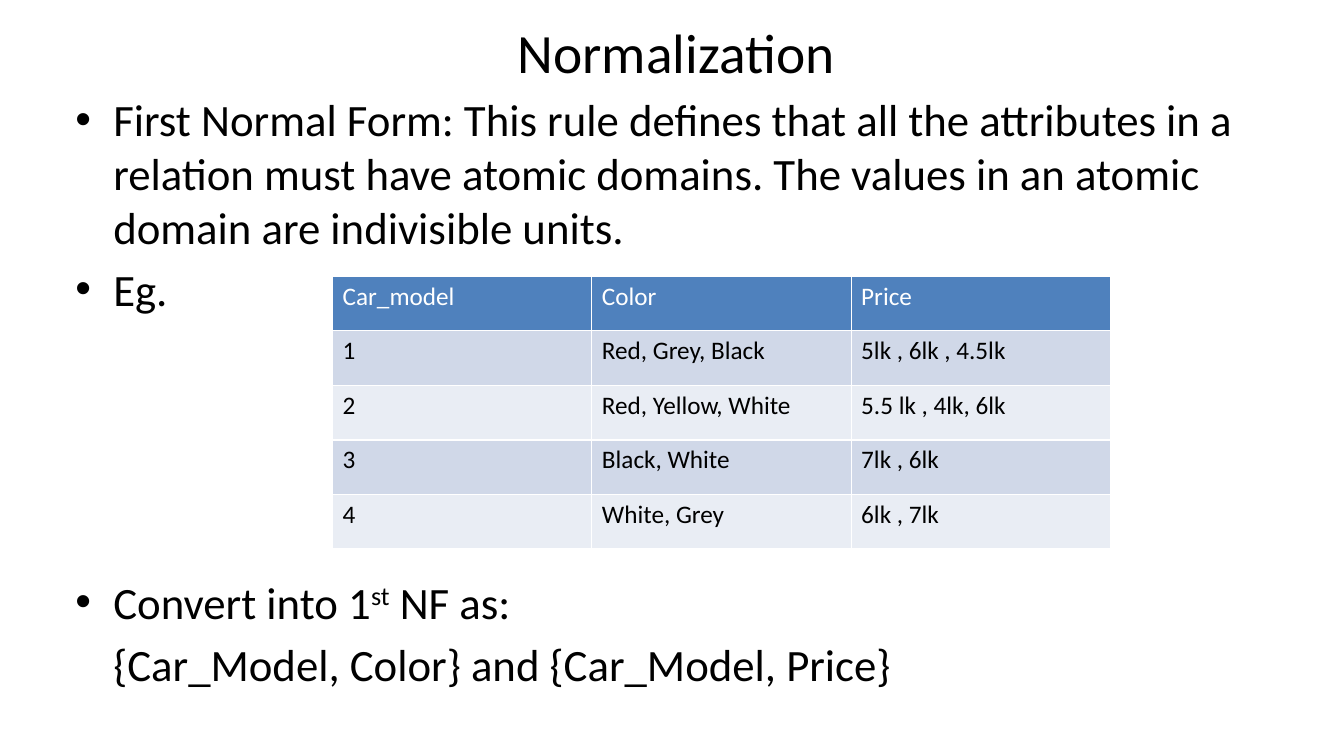
from dataclasses import dataclass

import pptx
import pptx.dml.color
import pptx.enum.text
import pptx.oxml
import pptx.oxml.ns
import pptx.util

Pt = pptx.util.Pt
FONT = "Calibri"
BLACK, WHITE = "000000", "FFFFFF"
HEADER_FILL = "4F81BD"
BAND_FILLS = ("D0D8E8", "E9EDF4")
NS = pptx.oxml.ns.nsdecls("a")
HANG = 27


@dataclass
class Box:
    left: float
    top: float
    width: float
    height: float

    def lengths(self) -> tuple:
        return Pt(self.left), Pt(self.top), Pt(self.width), Pt(self.height)


@dataclass
class Item:
    """One body paragraph; every second text is superscript."""
    texts: tuple[str, ...]
    before: float = 6
    bullet: bool = True


TITLE_BOX = Box(159, 11.5, 648, 50.4)
BODY_BOX = Box(46.8, 62, 862, 458)
TABLE_BOX = Box(237.6, 197.3, 555.6, 195)

ITEMS = [
    Item(("First Normal Form: This rule defines that all the attributes in a "
          "relation must have atomic domains. The values in an atomic domain "
          "are indivisible units.",), before=0),
    Item(("Eg.",)),
    Item(("Convert into 1", "st", " NF as:"), before=185),
    Item(("{Car_Model, Color} and {Car_Model, Price}",), bullet=False),
]

CARS = [
    ("Car_model", "Color", "Price"),
    ("1", "Red, Grey, Black", "5lk , 6lk , 4.5lk"),
    ("2", "Red, Yellow, White", "5.5 lk , 4lk, 6lk"),
    ("3", "Black, White", "7lk , 6lk"),
    ("4", "White, Grey", "6lk , 7lk"),
]


def rgb(value: str) -> pptx.dml.color.RGBColor:
    return pptx.dml.color.RGBColor.from_string(value)


def style(font, size: float, color: str = BLACK) -> None:
    font.name = FONT
    font.size = Pt(size)
    font.color.rgb = rgb(color)


def add_title(s, text: str, box: Box) -> None:
    sp = s.shapes.title
    sp.left, sp.top, sp.width, sp.height = box.lengths()
    tf = sp.text_frame
    tf.text = text
    tf.vertical_anchor = pptx.enum.text.MSO_ANCHOR.MIDDLE
    p = tf.paragraphs[0]
    p.alignment = pptx.enum.text.PP_ALIGN.CENTER
    style(p.runs[0].font, 39.6)


def add_body(s, items: list[Item], box: Box) -> None:
    tf = s.shapes.add_textbox(*box.lengths()).text_frame
    tf.word_wrap = True
    for i, item in enumerate(items):
        p = tf.add_paragraph() if i else tf.paragraphs[0]
        p.space_before = Pt(item.before)
        pPr = p._p.get_or_add_pPr()
        pPr.set("marL", str(Pt(HANG)))
        if item.bullet:
            pPr.set("indent", str(-Pt(HANG)))
            pPr.append(pptx.oxml.parse_xml(f'<a:buFont {NS} typeface="Arial"/>'))
            pPr.append(pptx.oxml.parse_xml(f'<a:buChar {NS} char="•"/>'))
        for k, text in enumerate(item.texts):
            r = p.add_run()
            r.text = text
            style(r.font, 32)
            if k % 2:
                r._r.get_or_add_rPr().set("baseline", "30000")


def add_borders(cell, color: str, width: float) -> None:
    tcPr = cell._tc.get_or_add_tcPr()
    for side in "LRTB":
        tcPr.append(pptx.oxml.parse_xml(
            f'<a:ln{side} {NS} w="{Pt(width)}"><a:solidFill>'
            f'<a:srgbClr val="{color}"/></a:solidFill></a:ln{side}>'))


def add_car_table(s, rows: list[tuple[str, ...]], box: Box) -> None:
    table = s.shapes.add_table(len(rows), len(rows[0]), *box.lengths()).table
    for i, row in enumerate(rows):
        fill = BAND_FILLS[(i - 1) % 2] if i else HEADER_FILL
        for j, text in enumerate(row):
            cell = table.cell(i, j)
            add_borders(cell, WHITE, 1)
            cell.fill.solid()
            cell.fill.fore_color.rgb = rgb(fill)
            cell.text_frame.text = text
            font = cell.text_frame.paragraphs[0].runs[0].font
            style(font, 18, BLACK if i else WHITE)
            font.bold = False


def main() -> None:
    prs = pptx.Presentation()
    prs.slide_width, prs.slide_height = Pt(960), Pt(540)
    s = prs.slides.add_slide(prs.slide_layouts.get_by_name("Title Only"))
    add_title(s, "Normalization", TITLE_BOX)
    add_body(s, ITEMS, BODY_BOX)
    add_car_table(s, CARS, TABLE_BOX)
    prs.save("out.pptx")


if __name__ == "__main__":
    main()
